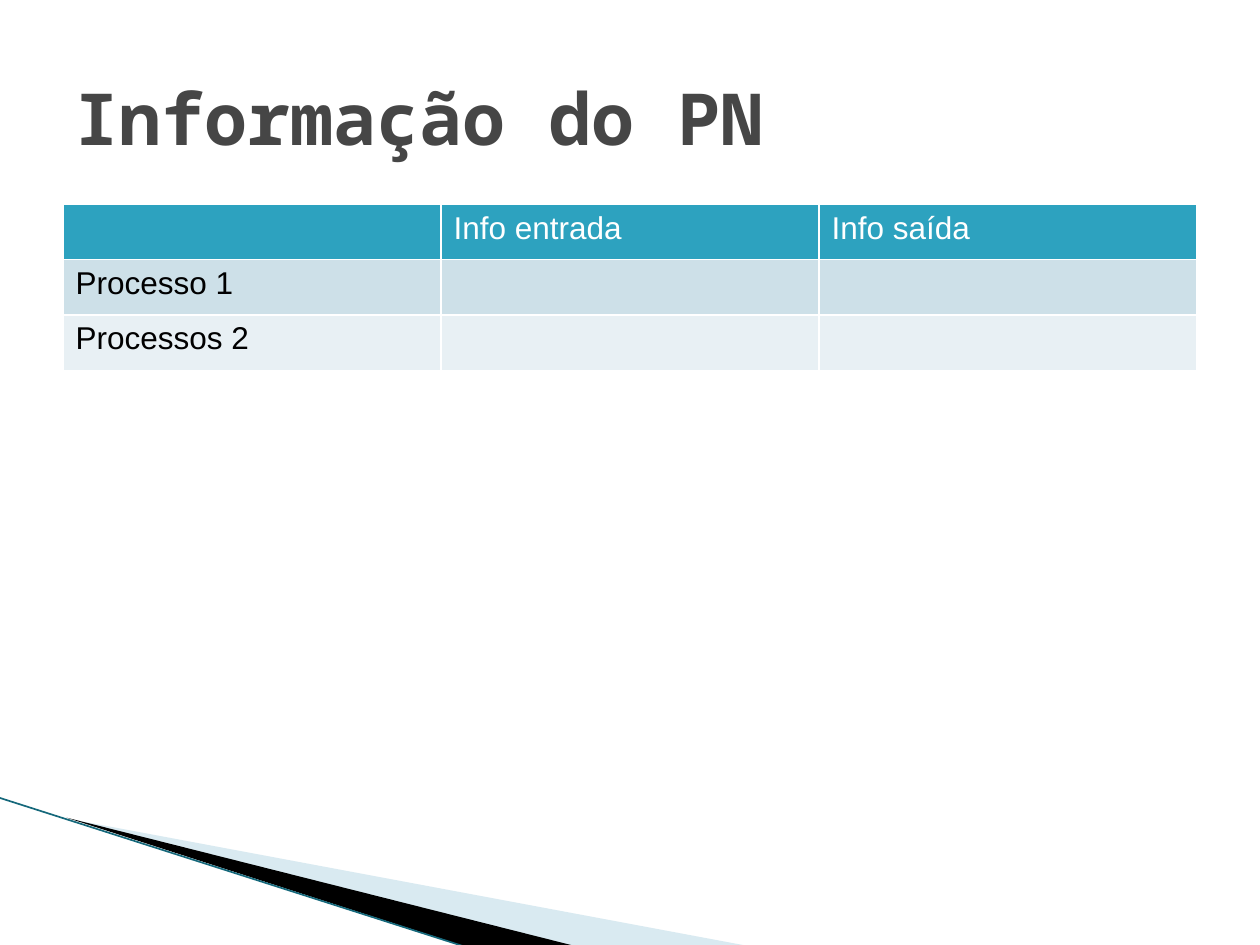
from lxml import etree
from pptx import Presentation
from pptx import util as u
from pptx.dml.color import RGBColor
from pptx.enum import shapes, text
from pptx.oxml.ns import qn

WIDTH, HEIGHT = 10, 7.5
MARGIN = WIDTH * 0.05
CONTENT_WIDTH = WIDTH - 2 * MARGIN
TITLE_TOP, TITLE_HEIGHT = 0.3, 1.25
TABLE_TOP, ROW_HEIGHT = 1.62, 0.44

WHITE = RGBColor(0xFF, 0xFF, 0xFF)
BLACK = RGBColor(0x00, 0x00, 0x00)
TITLE_GREY = RGBColor(0x46, 0x46, 0x46)
HEADER_TEAL = RGBColor(0x2D, 0xA2, 0xBF)
BAND_DARK = RGBColor(0xCD, 0xE0, 0xE8)
BAND_LIGHT = RGBColor(0xE8, 0xF0, 0xF4)
WEDGE_BLUE = RGBColor(0xA0, 0xCB, 0xDC)
EDGE_TEAL = RGBColor(0x15, 0x68, 0x7B)

PROCESS_ROWS = [
    ["", "Info entrada", "Info saída"],
    ["Processo 1", "", ""],
    ["Processos 2", "", ""],
]
ROW_FILLS = [HEADER_TEAL, BAND_DARK, BAND_LIGHT]


def set_font(paragraph, name, size, color, bold=False):
    font = paragraph.font
    font.name, font.size, font.bold = name, u.Pt(size), bold
    font.color.rgb = color


def add_wedge(slide, points, color, opacity=100):
    """Draw a filled outline through points in inches; opacity in percent."""
    corners = [(u.Inches(x), u.Inches(y)) for x, y in points]
    builder = slide.shapes.build_freeform(*corners[0])
    builder.add_line_segments(corners[1:], close=True)
    wedge = builder.convert_to_shape()
    wedge.shadow.inherit = False
    wedge.fill.solid()
    wedge.fill.fore_color.rgb = color
    wedge.line.fill.background()
    if opacity < 100:
        tint = wedge._element.spPr.find(".//" + qn("a:srgbClr"))
        etree.SubElement(tint, qn("a:alpha"), val=str(opacity * 1000))


def add_edge(slide, start, end):
    edge = slide.shapes.add_connector(
        shapes.MSO_CONNECTOR.STRAIGHT, *map(u.Inches, start + end))
    edge.line.color.rgb = EDGE_TEAL
    edge.line.width = u.Pt(0.95)
    etree.SubElement(edge._element.spPr, qn("a:effectLst"))


def add_title(slide, wording):
    title = slide.shapes.add_textbox(
        *map(u.Inches, (MARGIN, TITLE_TOP, CONTENT_WIDTH, TITLE_HEIGHT)))
    frame = title.text_frame
    frame.word_wrap = True
    frame.vertical_anchor = text.MSO_ANCHOR.MIDDLE
    frame.text = wording
    set_font(frame.paragraphs[0], "Noto Sans Mono", 41, TITLE_GREY, bold=True)


def set_borders(cell):
    """Give the cell white borders, which must precede its fill in the XML."""
    properties = cell._tc.get_or_add_tcPr()
    for position, side in enumerate(["lnL", "lnR", "lnT", "lnB"]):
        border = etree.Element(qn(f"a:{side}"), w=str(u.Pt(1)))
        fill = etree.SubElement(border, qn("a:solidFill"))
        etree.SubElement(fill, qn("a:srgbClr"), val=str(WHITE))
        properties.insert(position, border)


def add_process_table(slide):
    row_count, column_count = len(PROCESS_ROWS), len(PROCESS_ROWS[0])
    table = slide.shapes.add_table(
        row_count, column_count,
        *map(u.Inches, (MARGIN, TABLE_TOP, CONTENT_WIDTH,
                        row_count * ROW_HEIGHT))).table
    for row, (wordings, color) in enumerate(zip(PROCESS_ROWS, ROW_FILLS)):
        for column, wording in enumerate(wordings):
            cell = table.cell(row, column)
            cell.text = wording
            set_font(cell.text_frame.paragraphs[0], "Arial", 18,
                     WHITE if row == 0 else BLACK)
            cell.fill.solid()
            cell.fill.fore_color.rgb = color
            set_borders(cell)


def main():
    deck = Presentation()
    deck.slide_width, deck.slide_height = u.Inches(WIDTH), u.Inches(HEIGHT)
    slide = deck.slides.add_slide(deck.slide_layouts[6])

    add_wedge(slide, [(0.55, 6.5), (5.95, 7.51), (4.56, 7.51)],
              WEDGE_BLUE, opacity=40)
    add_wedge(slide, [(0.53, 6.49), (4.57, 7.51), (3.72, 7.52)], BLACK)
    add_edge(slide, (-0.01, 6.33), (3.71, 7.52))
    add_process_table(slide)
    add_title(slide, "Informação do PN")

    deck.save("out.pptx")


if __name__ == "__main__":
    main()
